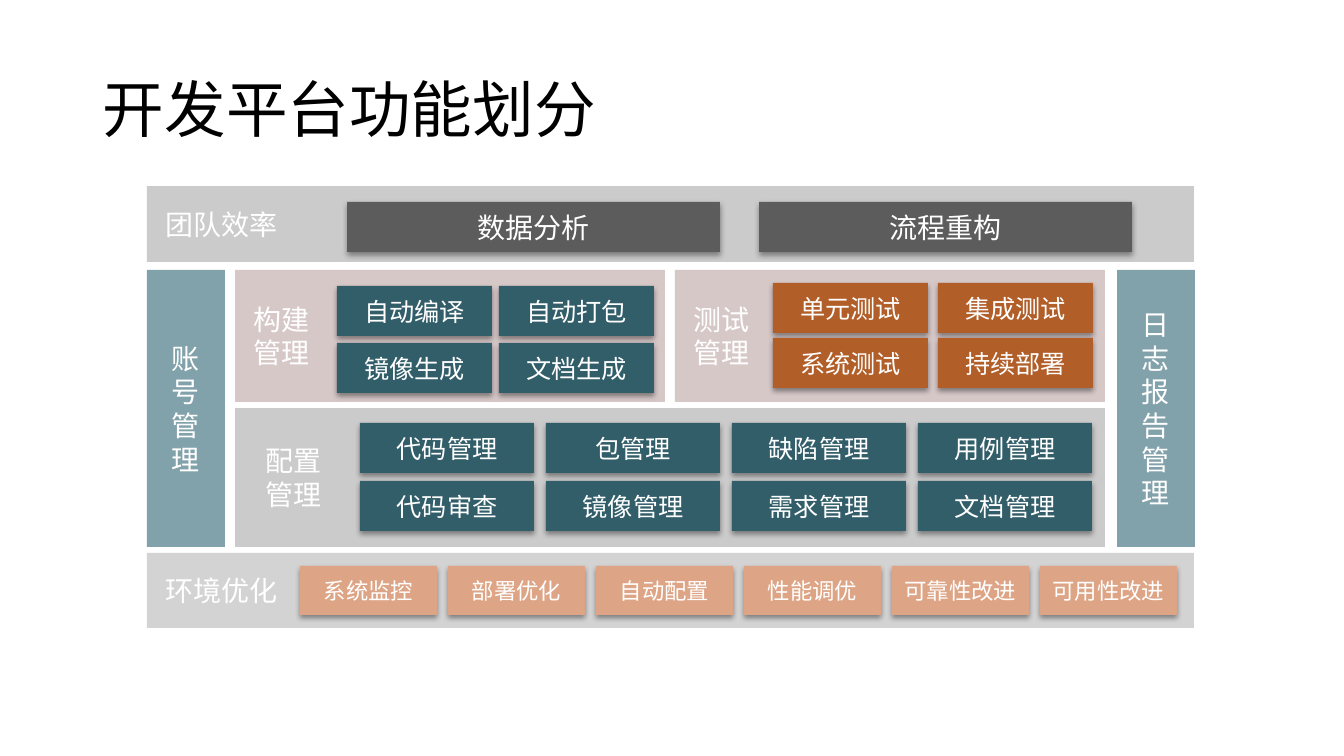
from lxml import etree
from pptx import Presentation
from pptx.dml.color import RGBColor
from pptx.enum.shapes import MSO_SHAPE
from pptx.enum.text import MSO_ANCHOR, PP_ALIGN
from pptx.oxml.ns import qn
from pptx.util import Pt

PX = 914400 / 100.8
RECTANGLE = MSO_SHAPE.RECTANGLE
MIDDLE = MSO_ANCHOR.MIDDLE
LEFT = PP_ALIGN.LEFT
CENTER = PP_ALIGN.CENTER
CJK_FONT = "Noto Sans CJK SC"
TITLE_FONT = "Calibri"

WHITE = RGBColor(0xFF, 0xFF, 0xFF)
BLACK = RGBColor(0x00, 0x00, 0x00)
SILVER = RGBColor(0xCB, 0xCB, 0xCB)
GRAY = RGBColor(0x80, 0x80, 0x80)
CHARCOAL = RGBColor(0x5D, 0x5C, 0x5C)
ROSE = RGBColor(0xD7, 0xC8, 0xC8)
MIST = RGBColor(0x82, 0xA2, 0xAB)
TEAL = RGBColor(0x32, 0x5E, 0x6A)
RUST = RGBColor(0xB1, 0x5E, 0x29)
PEACH = RGBColor(0xDD, 0xA5, 0x86)


def px(length):
    return round(length * PX)


def write_text(shape, text, *, size=20, color=WHITE, font=CJK_FONT,
               align=CENTER, insets=(6, 6, 6, 6), line_spacing=None):
    frame = shape.text_frame
    frame.word_wrap = True
    frame.vertical_anchor = MIDDLE
    frame.margin_left, frame.margin_top, frame.margin_right, frame.margin_bottom = map(px, insets)
    frame.text = text
    for paragraph in frame.paragraphs:
        paragraph.alignment = align
        paragraph.line_spacing = line_spacing
        for run in paragraph.runs:
            run.font.size = Pt(size)
            run.font.name = font
            run.font.color.rgb = color
            etree.SubElement(run.font._element, qn("a:ea"), typeface=CJK_FONT)


def add_block(slide, box, text, fill, **text_format):
    shape = slide.shapes.add_shape(RECTANGLE, *map(px, box))
    shape.shadow.inherit = False
    shape.fill.solid()
    shape.fill.fore_color.rgb = fill
    shape.line.fill.background()
    write_text(shape, text, **text_format)
    return shape


def add_panel(slide, box, text, fill, indent=18):
    return add_block(slide, box, text, fill, align=LEFT, insets=(indent, 6, 6, 6))


def set_opacity(shape, percent):
    color = shape._element.spPr.find(qn("a:solidFill"))[0]
    etree.SubElement(color, qn("a:alpha"), val=str(percent * 1000))


def add_drop_shadow(shape):
    effects = shape._element.spPr.find(qn("a:effectLst"))
    shadow = etree.SubElement(effects, qn("a:outerShdw"), blurRad=str(Pt(4)),
                              dist=str(Pt(2)), dir="5400000", rotWithShape="0")
    color = etree.SubElement(shadow, qn("a:srgbClr"), val=str(BLACK))
    etree.SubElement(color, qn("a:alpha"), val="40000")


def add_button_grid(slide, rows, first_box, pitch, fill, size):
    left, top, width, height = first_box
    for row, labels in enumerate(rows):
        for column, label in enumerate(labels):
            box = (left + column * pitch[0], top + row * pitch[1], width, height)
            add_drop_shadow(add_block(slide, box, label, fill, size=size))


def add_title(slide, text):
    title = slide.shapes.add_textbox(*map(px, (93, 40, 1159, 146)))
    write_text(title, text, size=44, color=BLACK, font=TITLE_FONT, align=LEFT,
               insets=(10, 5, 10, 5), line_spacing=0.9)


def main():
    presentation = Presentation()
    presentation.slide_width = px(1344)
    presentation.slide_height = px(756)
    slide = presentation.slides.add_slide(presentation.slide_layouts[6])

    add_title(slide, "开发平台功能划分")

    add_panel(slide, (147, 186, 1047, 76), "团队效率", SILVER)
    add_panel(slide, (235, 270, 430, 132), "构建\n管理", ROSE)
    add_panel(slide, (675, 270, 430, 132), "测试\n管理", ROSE)
    add_panel(slide, (235, 408, 870, 139), "配置\n管理", SILVER, indent=30)
    environment = add_panel(slide, (147, 553, 1047, 75), "环境优化", GRAY)
    set_opacity(environment, 34)

    for left, label in ((147, "账号管理"), (1117, "日志报告管理")):
        add_block(slide, (left, 270, 78, 277), "\n".join(label), MIST)

    add_button_grid(slide, [["数据分析", "流程重构"]],
                    (347, 202, 373, 50), (412, 0), CHARCOAL, 20)
    add_button_grid(slide, [["自动编译", "自动打包"], ["镜像生成", "文档生成"]],
                    (337, 286, 155, 50), (162, 57), TEAL, 18)
    add_button_grid(slide, [["单元测试", "集成测试"], ["系统测试", "持续部署"]],
                    (773, 283, 155, 50), (165, 55), RUST, 18)
    add_button_grid(slide, [["代码管理", "包管理", "缺陷管理", "用例管理"],
                            ["代码审查", "镜像管理", "需求管理", "文档管理"]],
                    (360, 423, 174, 50), (186, 58), TEAL, 18)
    add_button_grid(slide, [["系统监控", "部署优化", "自动配置",
                             "性能调优", "可靠性改进", "可用性改进"]],
                    (300, 566, 137, 49), (148, 0), PEACH, 16)

    presentation.save("out.pptx")


if __name__ == "__main__":
    main()
